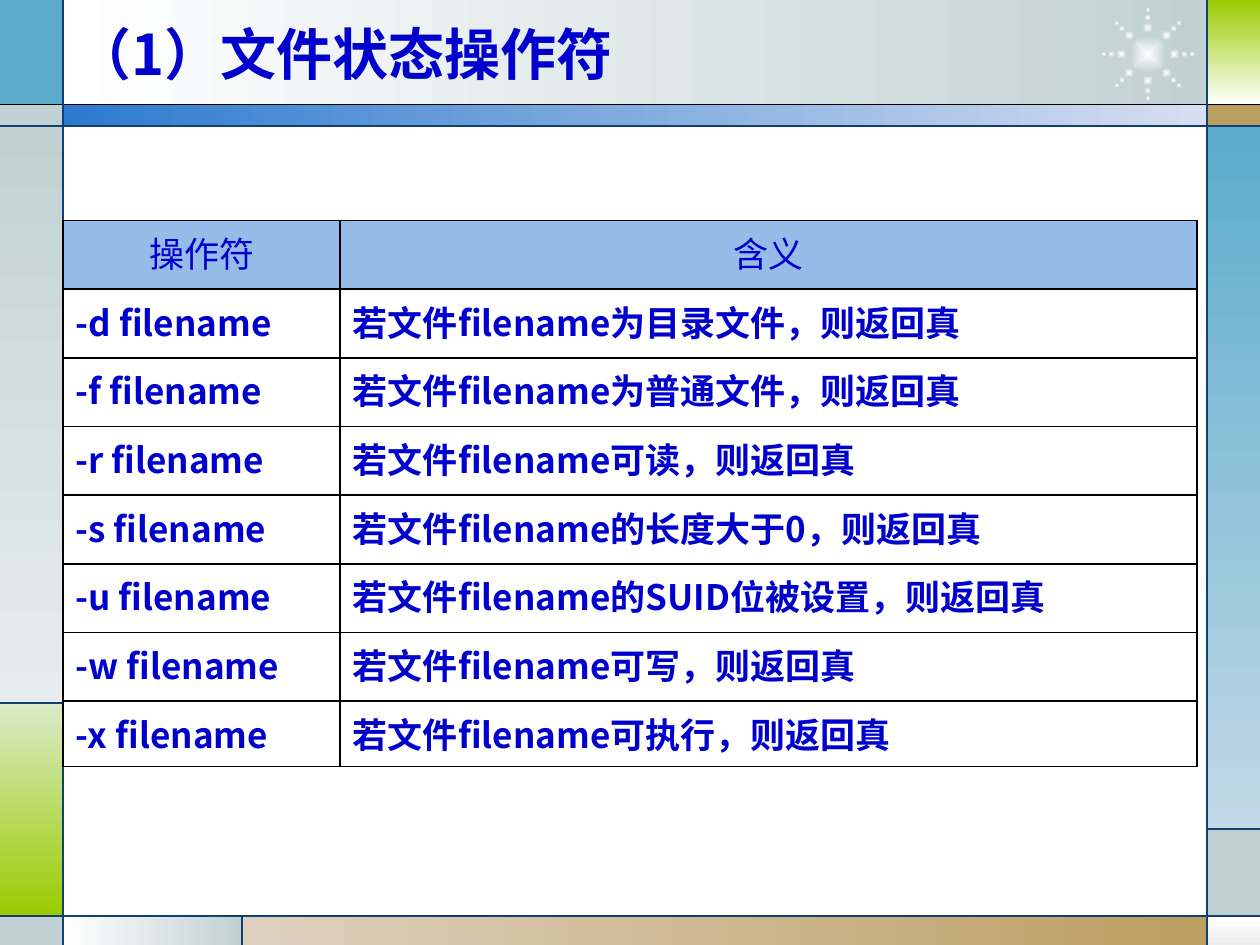
from math import cos, radians, sin

from lxml.etree import SubElement
from pptx import Presentation
from pptx.dml.color import RGBColor
from pptx.enum.shapes import MSO_CONNECTOR, MSO_SHAPE
from pptx.enum.text import MSO_ANCHOR, PP_ALIGN
from pptx.oxml.ns import qn
from pptx.util import Inches, Pt

WHITE = RGBColor(0xFF, 0xFF, 0xFF)
BLACK = RGBColor(0, 0, 0)
GREY = RGBColor(0xC1, 0xD1, 0xD3)
MIST = RGBColor(0xE7, 0xED, 0xEE)
PALE = RGBColor(0xED, 0xED, 0xED)
SKY = RGBColor(0x5A, 0xAB, 0xCC)
HAZE = RGBColor(0xC2, 0xD9, 0xE7)
LIME = RGBColor(0x99, 0xCC, 0x00)
LEAF = RGBColor(0xDB, 0xEB, 0xC9)
TAN = RGBColor(0xBD, 0x9E, 0x61)
SAND = RGBColor(0xDE, 0xD1, 0xBF)
BLUE = RGBColor(0x2D, 0x7A, 0xCF)
ICE = RGBColor(0xD7, 0xDE, 0xF0)
NAVY = RGBColor(0x11, 0x3F, 0x71)
INK = RGBColor(0, 0, 0xCC)

SANS = "Noto Sans CJK SC"
SERIF = "Times New Roman"

# Grid lines of the frame, in inches
COLS = [0, 0.5, 1.92, 9.58, 10]
ROWS = [0, 0.83, 1, 5.58, 6.58, 7.27, 7.5]
ACROSS, DOWN = 0, 270

# Left, top, right, bottom grid line; colours; direction
PANELS = [
    (1, 0, 3, 1, [WHITE, GREY], ACROSS),
    (0, 0, 1, 1, [SKY], None),
    (0, 1, 1, 2, [GREY], None),
    (0, 2, 1, 3, [GREY, MIST], DOWN),
    (0, 3, 1, 5, [LEAF, LIME], DOWN),
    (0, 5, 1, 6, [GREY], None),
    (1, 5, 2, 6, [WHITE, GREY], ACROSS),
    (2, 5, 3, 6, [SAND, TAN], ACROSS),
    (3, 5, 4, 6, [WHITE, PALE], DOWN),
    (3, 4, 4, 5, [GREY], None),
    (3, 2, 4, 4, [SKY, HAZE], DOWN),
    (3, 1, 4, 2, [TAN], None),
    (3, 0, 4, 1, [LIME, WHITE], DOWN),
    (1, 1, 3, 2, [BLUE, ICE], ACROSS),
]
RULES = [
    (0, 1, 4, 1, BLACK),
    (0, 2, 4, 2, NAVY),
    (0, 5, 4, 5, NAVY),
    (1, 0, 1, 6, NAVY),
    (3, 0, 3, 6, NAVY),
    (1, 3, 0, 3, NAVY),
    (2, 5, 2, 6, NAVY),
    (3, 4, 4, 4, NAVY),
]
HEADS = ("操作符", "含义")
TESTS = [
    ("d", "为目录文件"),
    ("f", "为普通文件"),
    ("r", "可读"),
    ("s", "的长度大于0"),
    ("u", "的SUID位被设置"),
    ("w", "可写"),
    ("x", "可执行"),
]


def shade(shape, colors, angle):
    shape.shadow.inherit = False
    shape.line.fill.background()
    fill = shape.fill
    if len(colors) == 1:
        fill.solid()
        fill.fore_color.rgb = colors[0]
        return
    fill.gradient()
    fill.gradient_angle = angle
    for stop, color in zip(fill.gradient_stops, colors):
        stop.color.rgb = color


def add_panel(shapes, left, top, right, bottom, colors, angle):
    x, y = COLS[left], ROWS[top]
    box = shapes.add_shape(MSO_SHAPE.RECTANGLE, Inches(x), Inches(y),
                           Inches(COLS[right] - x), Inches(ROWS[bottom] - y))
    shade(box, colors, angle)


def add_rule(shapes, left, top, right, bottom, color):
    rule = shapes.add_connector(MSO_CONNECTOR.STRAIGHT,
                                Inches(COLS[left]), Inches(ROWS[top]),
                                Inches(COLS[right]), Inches(ROWS[bottom]))
    rule.line.color.rgb = color
    rule.line.width = Pt(0.75)
    SubElement(rule.element.spPr, qn("a:effectLst"))


def add_glow(shapes, x, y, size):
    """Draw a dot that fades from a white centre to a grey rim."""
    dot = shapes.add_shape(MSO_SHAPE.OVAL, Inches(x - size / 2),
                           Inches(y - size / 2), Inches(size), Inches(size))
    shade(dot, [WHITE, GREY], ACROSS)
    grad = dot.element.spPr.find(qn("a:gradFill"))
    grad.remove(grad.find(qn("a:lin")))
    focus = SubElement(grad, qn("a:path"), path="shape")
    SubElement(focus, qn("a:fillToRect"), l="50000", t="50000", r="50000", b="50000")


def add_burst(shapes, x, y):
    """Draw a core with eight arms of three shrinking dots."""
    group = shapes.add_group_shape().shapes
    add_glow(group, x, y, 0.3)
    for turn in range(0, 360, 45):
        for reach, size in [(0.21, 0.08), (0.29, 0.05), (0.35, 0.04)]:
            add_glow(group, x + reach * cos(radians(turn)),
                     y + reach * sin(radians(turn)), size)


def style(para, size, name, bold):
    for run in para.runs:
        font = run.font
        font.size, font.name, font.bold = Pt(size), name, bold
        font.color.rgb = INK
        SubElement(run._r.get_or_add_rPr(), qn("a:ea"), typeface=SANS)


def add_edges(cell):
    props = cell._tc.get_or_add_tcPr()
    for side in ("lnL", "lnR", "lnT", "lnB"):
        line = SubElement(props, qn(f"a:{side}"), w=str(Pt(1)))
        fill = SubElement(line, qn("a:solidFill"))
        SubElement(fill, qn("a:srgbClr"), val=str(BLACK))


def fill_cell(cell, text, head):
    cell.text_frame.text = text
    para = cell.text_frame.paragraphs[0]
    style(para, 20, SERIF if head else SANS, not head)
    add_edges(cell)
    if not head:
        cell.fill.background()
        return
    para.alignment = PP_ALIGN.CENTER
    cell.fill.solid()
    cell.fill.fore_color.rgb = BLUE
    color = cell._tc.tcPr.find(qn("a:solidFill"))[0]
    SubElement(color, qn("a:alpha"), val="50000")


def add_grid(shapes):
    rows = [HEADS] + [(f"-{flag} filename", f"若文件filename{state}，则返回真")
                      for flag, state in TESTS]
    table = shapes.add_table(len(rows), 2, Inches(0.5), Inches(1.75),
                             Inches(9), Inches(4.33)).table
    table.first_row = table.horz_banding = False
    for col, width in zip(table.columns, (2.2, 6.8)):
        col.width = Inches(width)
    for r, texts in enumerate(rows):
        table.rows[r].height = Inches(0.52 if r == len(rows) - 1 else 0.545)
        for c, text in enumerate(texts):
            fill_cell(table.cell(r, c), text, r == 0)


def set_title(title, text):
    title.left, title.top = Inches(0.5), Inches(0.06)
    title.width, title.height = Inches(9), Inches(0.72)
    frame = title.text_frame
    frame.text = text
    frame.vertical_anchor = MSO_ANCHOR.MIDDLE
    para = frame.paragraphs[0]
    para.alignment = PP_ALIGN.LEFT
    style(para, 32, SANS, True)
    title.element.getparent().append(title.element)  # bring to front


def main():
    deck = Presentation()
    deck.slide_width, deck.slide_height = Inches(10), Inches(7.5)
    shapes = deck.slides.add_slide(deck.slide_layouts[5]).shapes
    for panel in PANELS:
        add_panel(shapes, *panel)
    add_burst(shapes, 9.11, 0.43)
    for rule in RULES:
        add_rule(shapes, *rule)
    add_grid(shapes)
    set_title(shapes.title, "（1）文件状态操作符")
    deck.save("out.pptx")


if __name__ == "__main__":
    main()
